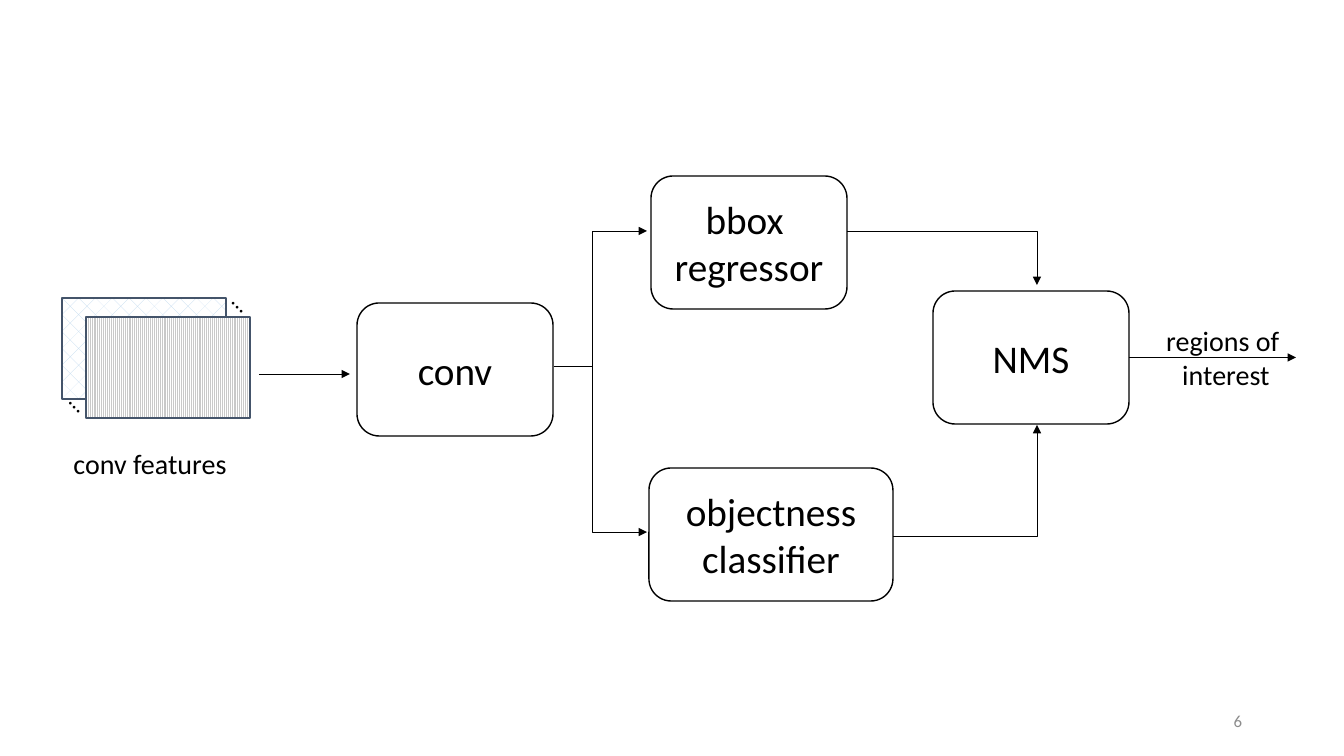
"""Build a slide showing a region proposal pipeline."""
from lxml import etree
from pptx import Presentation
from pptx import util as u
from pptx.dml.color import RGBColor
from pptx.enum import dml, shapes, text
from pptx.oxml.ns import qn

PX = 12192000 / 1344
FONT = "Calibri"
HUE = {"ink": "000000", "paper": "FFFFFF", "gray": "8C8C8C",
       "edge": "44546A", "blue": "BDD7EE", "ash": "C9C9C9"}
HIGH = 133
STEPS = [
    (["conv"], 357, 303, 196),
    (["bbox ", "regressor"], 651, 176, 196),
    (["objectness", "classifier"], 649, 468, 244),
    (["NMS"], 933, 291, 196),
]
DOTS = [(53, 285), (217, 282), (54, 382)]
MAPS = [
    (62, 298, dml.MSO_PATTERN.DIAGONAL_BRICK, "blue"),
    (86, 317, dml.MSO_PATTERN.NARROW_VERTICAL, "ash"),
]
LABELS = [
    (["conv features"], 60, 442),
    (["regions of ", "interest"], 1136, 319),
]
ROUTES = [
    [(554, 366), (592, 366), (592, 231), (647, 231)],
    [(554, 366), (592, 366), (592, 532), (647, 532)],
    [(847, 231), (1037, 231), (1037, 285)],
    [(893, 536), (1037, 536), (1037, 425)],
]
PAGE = "6"


def emu(*vals):
    return [round(v * PX) for v in vals]


def tint(name):
    return RGBColor.from_string(HUE[name])


def write(shape, lines, size, hue="ink", align=text.PP_ALIGN.CENTER, wrap=False):
    frame = shape.text_frame
    frame.word_wrap = wrap
    frame.text = "\n".join(lines)
    for para in frame.paragraphs:
        para.alignment = align
        para.font.name = FONT
        para.font.size = u.Pt(size)
        para.font.color.rgb = tint(hue)
    return frame


def edge(shape, hue, width):
    shape.line.color.rgb = tint(hue)
    shape.line.width = u.Pt(width)


def arrow(shape):
    edge(shape, "ink", 0.5)
    line = shape.line._get_or_add_ln()
    etree.SubElement(line, qn("a:tailEnd"), type="triangle")


def step(pool, lines, x, y, wide):
    box = pool.add_shape(shapes.MSO_SHAPE.ROUNDED_RECTANGLE, *emu(x, y, wide, HIGH))
    box.shadow.inherit = False
    box.fill.solid()
    box.fill.fore_color.rgb = tint("paper")
    edge(box, "ink", 1)
    write(box, lines, 28).vertical_anchor = text.MSO_ANCHOR.MIDDLE
    return box


def dots(pool, x, y):
    box = pool.add_textbox(*emu(x, y, 43, 49))
    box.rotation = 45
    write(box, ["..."], 16)


def sheet(pool, x, y, pattern, hue):
    box = pool.add_shape(shapes.MSO_SHAPE.RECTANGLE, *emu(x, y, 164, 101))
    box.shadow.inherit = False
    box.fill.patterned()
    box.fill.pattern = pattern
    box.fill.fore_color.rgb = tint(hue)
    box.fill.back_color.rgb = tint("paper")
    edge(box, "edge", 1)


def straight(pool, x1, y1, x2, y2):
    line = pool.add_connector(shapes.MSO_CONNECTOR.STRAIGHT, *emu(x1, y1, x2, y2))
    arrow(line)
    etree.SubElement(line._element.spPr, qn("a:effectLst"))
    return line


def route(pool, points):
    first, *rest = [emu(*p) for p in points]
    pen = pool.build_freeform(*first)
    pen.add_line_segments(rest, close=False)
    path = pen.convert_to_shape()
    path.shadow.inherit = False
    path.fill.background()
    arrow(path)


def main():
    prs = Presentation()
    prs.slide_width, prs.slide_height = emu(1344, 756)
    pool = prs.slides.add_slide(prs.slide_layouts[6]).shapes

    page = pool.add_textbox(*emu(950, 701, 302, 40))
    frame = write(page, [PAGE], 12, "gray", text.PP_ALIGN.RIGHT, True)
    frame.vertical_anchor = text.MSO_ANCHOR.MIDDLE

    boxes = [step(pool, *row) for row in STEPS]

    stack = pool.add_group_shape().shapes
    for spot in DOTS[:2]:
        dots(stack, *spot)
    for row in MAPS:
        sheet(stack, *row)
    dots(stack, *DOTS[2])

    straight(pool, 259, 374, 350, 374)
    exit_y = STEPS[-1][2] + HIGH / 2
    straight(pool, 1129, exit_y, 1296, exit_y).begin_connect(boxes[-1], 3)
    for points in ROUTES:
        route(pool, points)
    for lines, x, y in LABELS:
        write(pool.add_textbox(*emu(x, y, 180, 39)), lines, 20)

    prs.save("out.pptx")


if __name__ == "__main__":
    main()
